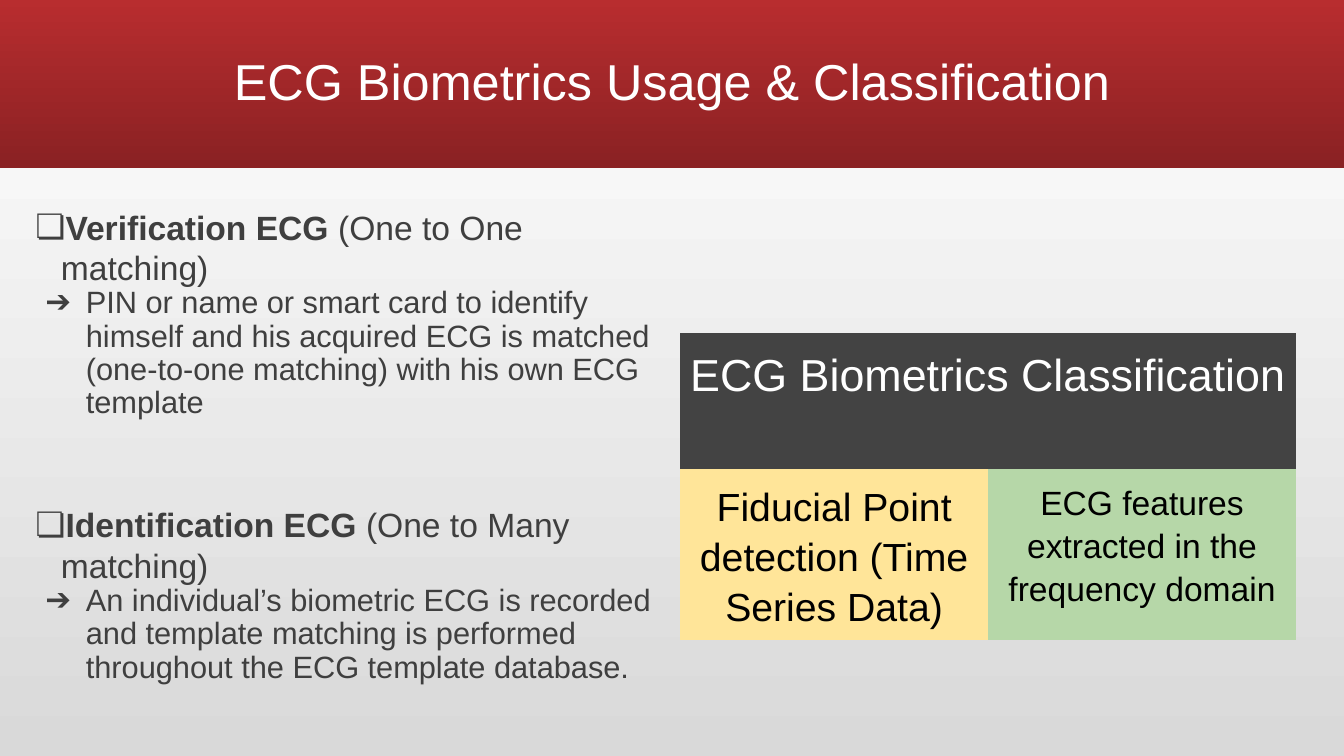
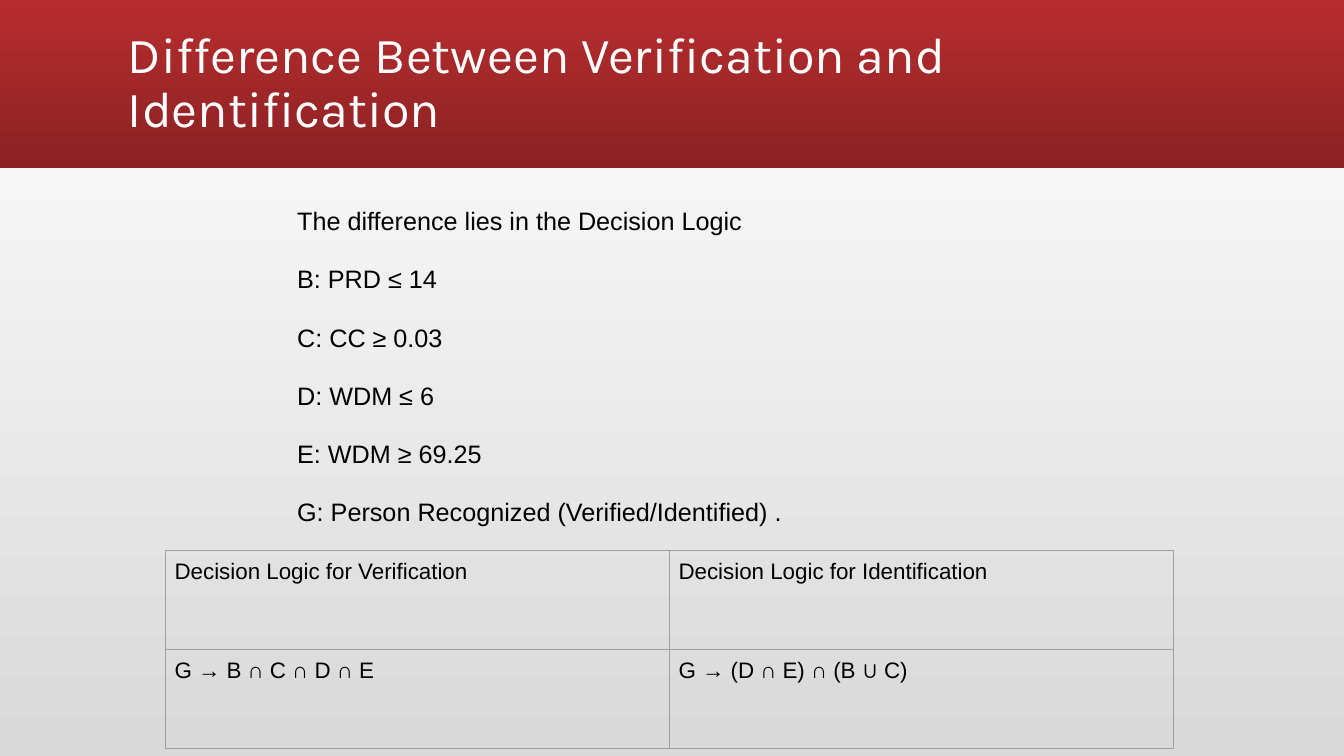
from dataclasses import dataclass
from typing import Any, Optional

from pptx import Presentation
from pptx.dml.color import RGBColor
from pptx.dml.fill import FillFormat
from pptx.enum.shapes import MSO_SHAPE
from pptx.enum.text import MSO_ANCHOR, MSO_AUTO_SIZE, PP_ALIGN
from pptx.oxml import parse_xml
from pptx.oxml.ns import nsdecls, qn
from pptx.slide import Slide
from pptx.table import Table, _Cell
from pptx.text.text import _Paragraph
from pptx.util import Cm, Pt

WHITE = RGBColor(0xFF, 0xFF, 0xFF)
BLACK = RGBColor(0x00, 0x00, 0x00)
GREY = RGBColor(0xD9, 0xD9, 0xD9)
RED = RGBColor(0xB8, 0x2D, 0x2F)
DARK_RED = RGBColor(0x8A, 0x21, 0x23)
TEXT_GREY = RGBColor(0x3F, 0x3F, 0x3F)
CHARCOAL = RGBColor(0x43, 0x43, 0x43)
YELLOW = RGBColor(0xFF, 0xE5, 0x99)
GREEN = RGBColor(0xB6, 0xD7, 0xA8)
BORDER_GREY = RGBColor(0x9E, 0x9E, 0x9E)

SLIDE_WIDTH, SLIDE_HEIGHT = Cm(33.87), Cm(19.05)
BODY_FONT = "Arial"
NO_STYLE_TABLE = "{2D5ABB26-0587-4C30-8999-92F81FD0307C}"


@dataclass(frozen=True)
class BulletStyle:
    symbol: str
    level: int
    size: int
    left: Cm
    hanging: Cm
    line_spacing: float


@dataclass(frozen=True)
class BulletItem:
    style: BulletStyle
    text: str
    lead: str = ""
    space_before: int = 0


@dataclass(frozen=True)
class CellText:
    row: int
    column: int
    text: str
    size: int
    color: RGBColor = BLACK
    fill: Optional[RGBColor] = None


HEADING = BulletStyle("❏", 0, 24, Cm(0.64), Cm(0.64), 1.0)
DETAIL = BulletStyle("➔", 1, 22, Cm(1.27), Cm(1.02), 0.9)

USAGE_ITEMS = [
    BulletItem(HEADING, " (One to One matching)", "Verification ECG"),
    BulletItem(DETAIL, "PIN or name or smart card to identify himself and his acquired ECG "
                       "is matched (one-to-one matching) with his own ECG template"),
    BulletItem(HEADING, " (One to Many matching)", "Identification ECG", 60),
    BulletItem(DETAIL, "An individual’s biometric ECG is recorded and template matching is "
                       "performed throughout the ECG template database."),
]
CLASSIFICATION_CELLS = [
    CellText(0, 0, "ECG Biometrics Classification", 32, WHITE, CHARCOAL),
    CellText(1, 0, "Fiducial Point detection (Time Series Data)", 28, BLACK, YELLOW),
    CellText(1, 1, "ECG features extracted in the frequency domain", 24, BLACK, GREEN),
]
DECISION_RULES = [
    "The difference lies in the Decision Logic",
    "B: PRD ≤ 14",
    "C: CC ≥ 0.03",
    "D: WDM ≤ 6",
    "E: WDM ≥ 69.25",
    "G: Person Recognized (Verified/Identified) .",
]
DECISION_CELLS = [
    CellText(0, 0, "Decision Logic for Verification", 16),
    CellText(0, 1, "Decision Logic for Identification", 16),
    CellText(1, 0, "G → B ∩ C ∩ D ∩ E", 16),
    CellText(1, 1, "G → (D ∩ E) ∩ (B ∪ C)", 16),
]


def set_format(target: Any, values: dict[str, Any]) -> None:
    for name, value in values.items():
        setattr(target, name, value)


def add_run(paragraph: _Paragraph, text: str, size: int, color: RGBColor,
            font: str = BODY_FONT, bold: bool = False) -> None:
    run = paragraph.add_run()
    run.text = text
    set_format(run.font, {"name": font, "size": Pt(size), "bold": bold})
    run.font.color.rgb = color


def set_gradient(fill: FillFormat, first: RGBColor, last: RGBColor, angle: int) -> None:
    fill.gradient()
    fill.gradient_angle = angle
    for stop, color, position in zip(fill.gradient_stops, (first, last), (0, 1)):
        stop.color.rgb = color
        stop.position = position


def style_master(slide: Slide) -> None:
    """Give the shared master its background and red title band."""
    master = slide.slide_layout.slide_master
    set_gradient(master.background.fill, GREY, WHITE, 90)
    band = slide.shapes.add_shape(MSO_SHAPE.RECTANGLE, 0, 0, SLIDE_WIDTH, Cm(4.23))
    band.shadow.inherit = False
    band.line.fill.background()
    set_gradient(band.fill, RED, DARK_RED, 270)
    master.shapes.element.insert(2, band.element)


def set_title(slide: Slide, text: str, alignment: PP_ALIGN, font: str) -> None:
    title = slide.shapes.title
    set_format(title, {"left": Cm(2.97), "top": Cm(0.28),
                       "width": Cm(27.94), "height": Cm(3.68)})
    set_format(title.text_frame, {"vertical_anchor": MSO_ANCHOR.MIDDLE, "word_wrap": True,
                                  "auto_size": MSO_AUTO_SIZE.NONE})
    paragraph = title.text_frame.paragraphs[0]
    set_format(paragraph, {"alignment": alignment, "line_spacing": 0.9})
    add_run(paragraph, text, 36, WHITE, font)


def set_bullet(paragraph: _Paragraph, style: BulletStyle) -> None:
    properties = paragraph._p.get_or_add_pPr()
    properties.set("marL", str(int(style.left)))
    properties.set("indent", str(-int(style.hanging)))
    for markup in (
        f'<a:buClr {nsdecls("a")}><a:srgbClr val="{TEXT_GREY}"/></a:buClr>',
        f'<a:buFont {nsdecls("a")} typeface="{BODY_FONT}"/>',
        f'<a:buChar {nsdecls("a")} char="{style.symbol}"/>',
    ):
        properties.append(parse_xml(markup))


def fill_body(slide: Slide, items: list[BulletItem]) -> None:
    body = slide.placeholders[1]
    set_format(body, {"left": Cm(0.64), "top": Cm(5.08),
                      "width": Cm(16.51), "height": Cm(12.7)})
    frame = body.text_frame
    frame.auto_size = MSO_AUTO_SIZE.NONE
    for index, item in enumerate(items):
        paragraph = frame.add_paragraph() if index else frame.paragraphs[0]
        style = item.style
        set_bullet(paragraph, style)
        set_format(paragraph, {"level": style.level, "line_spacing": style.line_spacing,
                               "space_before": Pt(item.space_before)})
        if item.lead:
            add_run(paragraph, item.lead, style.size, TEXT_GREY, bold=True)
        add_run(paragraph, item.text, style.size, TEXT_GREY)


def add_plain_table(slide: Slide, left: Cm, top: Cm, column_width: Cm,
                    row_heights: list[Cm]) -> Table:
    """Add a two-column table without any built-in style."""
    frame = slide.shapes.add_table(len(row_heights), 2, left, top,
                                   2 * column_width, sum(row_heights))
    table = frame.table
    set_format(table, {"first_row": False, "horz_banding": False})
    frame.element.find(".//" + qn("a:tableStyleId")).text = NO_STYLE_TABLE
    for column in table.columns:
        column.width = column_width
    for row, height in zip(table.rows, row_heights):
        row.height = height
    return table


def fill_table(table: Table, cells: list[CellText], margin: Cm,
               alignment: PP_ALIGN, line_spacing: float) -> None:
    for entry in cells:
        cell = table.cell(entry.row, entry.column)
        set_format(cell, {f"margin_{side}": margin
                          for side in ("left", "right", "top", "bottom")})
        if entry.fill is None:
            cell.fill.background()
        else:
            cell.fill.solid()
            cell.fill.fore_color.rgb = entry.fill
        paragraph = cell.text_frame.paragraphs[0]
        set_format(paragraph, {"alignment": alignment, "line_spacing": line_spacing})
        add_run(paragraph, entry.text, entry.size, entry.color)


def set_borders(cell: _Cell) -> None:
    properties = cell._tc.get_or_add_tcPr()
    for index, side in enumerate(("lnL", "lnR", "lnT", "lnB")):
        properties.insert(index, parse_xml(
            f'<a:{side} {nsdecls("a")} w="{int(Pt(0.75))}"><a:solidFill>'
            f'<a:srgbClr val="{BORDER_GREY}"/></a:solidFill></a:{side}>'))


def build_usage_slide(slide: Slide) -> None:
    set_title(slide, "ECG Biometrics Usage & Classification", PP_ALIGN.CENTER, BODY_FONT)
    fill_body(slide, USAGE_ITEMS)
    table = add_plain_table(slide, Cm(17.14), Cm(8.4), Cm(7.76), [Cm(3.43), Cm(4.3)])
    table.cell(0, 0).merge(table.cell(0, 1))
    fill_table(table, CLASSIFICATION_CELLS, Cm(0.25), PP_ALIGN.CENTER, 1.15)


def build_difference_slide(slide: Slide) -> None:
    set_title(slide, "Difference Between Verification and Identification",
              PP_ALIGN.LEFT, "Karla")
    # Decision rules
    frame = slide.shapes.add_textbox(Cm(7.24), Cm(5.05), Cm(18.16), Cm(10.34)).text_frame
    frame.word_wrap = True
    for index, rule in enumerate(DECISION_RULES):
        paragraph = frame.add_paragraph() if index else frame.paragraphs[0]
        paragraph.space_after = Pt(20)
        add_run(paragraph, rule, 18, BLACK)
    # Decision logic table
    table = add_plain_table(slide, Cm(4.17), Cm(13.87), Cm(12.7), [Cm(2.5)] * 2)
    fill_table(table, DECISION_CELLS, Cm(0.23), PP_ALIGN.LEFT, 1.0)
    for cell in table.iter_cells():
        set_borders(cell)


def main() -> None:
    presentation = Presentation()
    set_format(presentation, {"slide_width": SLIDE_WIDTH, "slide_height": SLIDE_HEIGHT})
    content_layout = presentation.slide_layouts.get_by_name("Title and Content")
    title_layout = presentation.slide_layouts.get_by_name("Title Only")
    usage_slide = presentation.slides.add_slide(content_layout)
    style_master(usage_slide)
    build_usage_slide(usage_slide)
    build_difference_slide(presentation.slides.add_slide(title_layout))
    presentation.save("out.pptx")


if __name__ == "__main__":
    main()
